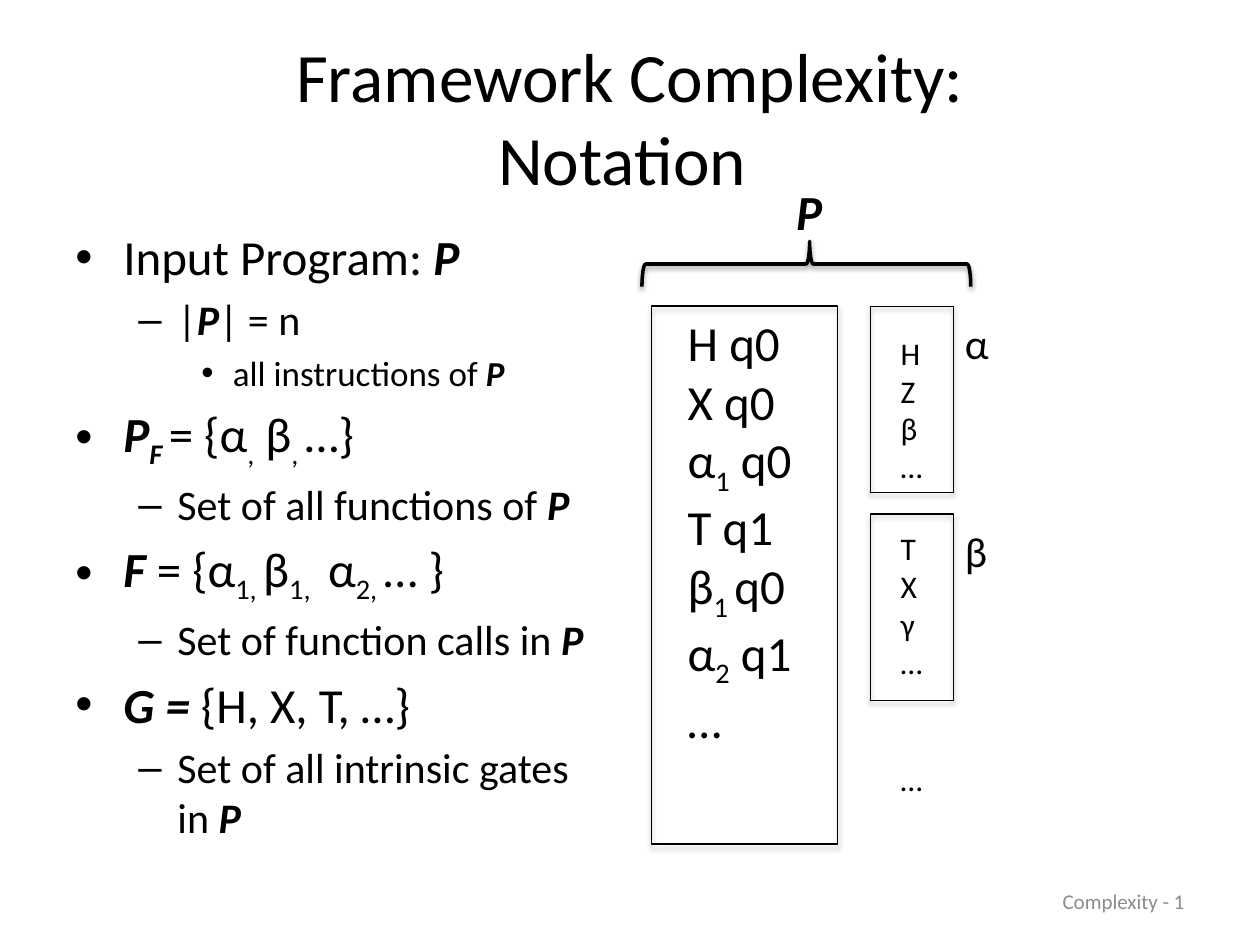
from lxml import etree
from pptx import Presentation
from pptx.dml.color import RGBColor
from pptx.enum.shapes import MSO_SHAPE
from pptx.enum.text import MSO_ANCHOR, MSO_AUTO_SIZE, PP_ALIGN
from pptx.oxml.ns import qn
from pptx.util import Inches, Pt

COLORS = {"ink": "000000", "footer": "8C8C8C"}
FONT = "Calibri"
COLUMNS, ROWS = 100, 75
BOLD_ITALIC, SUBSCRIPT = "*", "_"
LEVELS = [
    (28, 0.38, 0.38, "•"),
    (24, 0.81, 0.31, "–"),
    (20, 1.25, 0.25, "•"),
]


class SlideBuilder:
    def __init__(self, prs):
        self.slide = prs.slides.add_slide(prs.slide_layouts[5])
        self.column = prs.slide_width / COLUMNS
        self.row = prs.slide_height / ROWS

    def area(self, left, top, width, height):
        return (round(left * self.column), round(top * self.row),
                round(width * self.column), round(height * self.row))

    def add_runs(self, paragraph, markup, size, color="ink"):
        for i, stretch in enumerate(markup.split(BOLD_ITALIC)):
            for j, piece in enumerate(stretch.split(SUBSCRIPT)):
                for k, line in enumerate(piece.split("\n")):
                    if k:
                        paragraph.add_line_break()
                    if not line:
                        continue
                    run = paragraph.add_run()
                    run.text = line
                    font = run.font
                    font.name, font.size = FONT, Pt(size)
                    font.bold = font.italic = i % 2 == 1
                    font.color.rgb = RGBColor.from_string(COLORS[color])
                    if j % 2:
                        font._element.set("baseline", "-25000")

    def title(self, area, markup, size):
        title = self.slide.shapes.title
        title.left, title.top, title.width, title.height = self.area(*area)
        frame = title.text_frame
        frame.auto_size = MSO_AUTO_SIZE.NONE
        frame.vertical_anchor = MSO_ANCHOR.MIDDLE
        frame.paragraphs[0].alignment = PP_ALIGN.CENTER
        self.add_runs(frame.paragraphs[0], markup, size)

    def text(self, area, lines, size, color="ink", align=PP_ALIGN.LEFT,
             anchor=MSO_ANCHOR.TOP, wrap=False):
        frame = self.slide.shapes.add_textbox(*self.area(*area)).text_frame
        frame.word_wrap = wrap
        frame.vertical_anchor = anchor
        for i, line in enumerate(lines):
            paragraph = frame.add_paragraph() if i else frame.paragraphs[0]
            paragraph.alignment = align
            self.add_runs(paragraph, line, size, color)

    def bullets(self, area, items):
        frame = self.slide.shapes.add_textbox(*self.area(*area)).text_frame
        frame.word_wrap = True
        for i, (level, markup) in enumerate(items):
            size, margin, hang, mark = LEVELS[level]
            paragraph = frame.add_paragraph() if i else frame.paragraphs[0]
            paragraph.level = level
            paragraph.space_before = Pt(size * 0.2)
            props = paragraph._p.get_or_add_pPr()
            props.set("marL", str(Inches(margin)))
            props.set("indent", str(-Inches(hang)))
            etree.SubElement(props, qn("a:buFont")).set("typeface", "Arial")
            etree.SubElement(props, qn("a:buChar")).set("char", mark)
            self.add_runs(paragraph, markup, size)

    def outline(self, kind, area, weight, opacity=35):
        shape = self.slide.shapes.add_shape(kind, *self.area(*area))
        shape.fill.background()
        shape.line.color.rgb = RGBColor.from_string(COLORS["ink"])
        shape.line.width = Pt(weight)
        shape.shadow.inherit = False
        effects = shape._element.spPr.find(qn("a:effectLst"))
        shadow = etree.SubElement(
            effects, qn("a:outerShdw"), blurRad=str(Pt(3.1)),
            dist=str(Pt(1.8)), dir="5400000", rotWithShape="0")
        tint = etree.SubElement(shadow, qn("a:srgbClr"), val=COLORS["ink"])
        etree.SubElement(tint, qn("a:alpha"), val=str(opacity * 1000))
        return shape


prs = Presentation()
prs.slide_width, prs.slide_height = Inches(10), Inches(7.5)
page = SlideBuilder(prs)

page.title((5, 3, 90, 12.5), "Framework Complexity:\nNotation ", 39.6)
page.bullets((5, 17.5, 44.2, 49.5), [
    (0, "Input Program: *P*"),
    (1, "|*P*| = n"),
    (2, "all instructions of *P*"),
    (0, "*P_F _*= {α_,_ β_, _…}"),
    (1, "Set of all functions of *P*"),
    (0, "*F* = {α_1, _β_1, _ α_2, _… }"),
    (1, "Set of function calls in *P*"),
    (0, "*G = *{H, X, T, …}"),
    (1, "Set of all intrinsic gates in *P*"),
])
page.text((71.7, 69.5, 23.3, 4), ["Complexity - 1"], 12, "footer",
          PP_ALIGN.RIGHT, MSO_ANCHOR.MIDDLE, wrap=True)

page.outline(MSO_SHAPE.RECTANGLE, (51.7, 24.3, 14.8, 42.7), 0.75)
page.text((53.6, 24.3, 15.4, 34),
          ["H q0", "X q0", "α_1_ q0", "T q1", "β_1 _q0", "α_2_ q1", "…"],
          28, wrap=True)
page.text((62.2, 13.9, 5.1, 5.7), ["*P*"], 28)

FUNCTION_TOP, FUNCTION_STEP = 24.3, 16.5
functions = [("α", ["H", "Z", "β", "…"], 1.7),
             ("β", ["T", "X", "γ", "…"], 0.7)]
for i, (name, body, drop) in enumerate(functions):
    top = FUNCTION_TOP + i * FUNCTION_STEP
    page.outline(MSO_SHAPE.RECTANGLE, (69.1, top, 6.6, 14.8), 0.75)
    page.text((75.6, top + 0.4, 3.9, 5), [name], 24)
    page.text((70.5, top + drop, 4.1, 13.1), body, 18, wrap=True)
page.text((70.5, 59.8, 4.1, 4), ["…"], 18)

brace = page.outline(MSO_SHAPE.RIGHT_BRACE, (62.2, 7.9, 3.6, 26.1), 2, 38)
brace.rotation = 270
brace.adjustments[0], brace.adjustments[1] = 0.08, 0.51

prs.save("out.pptx")
